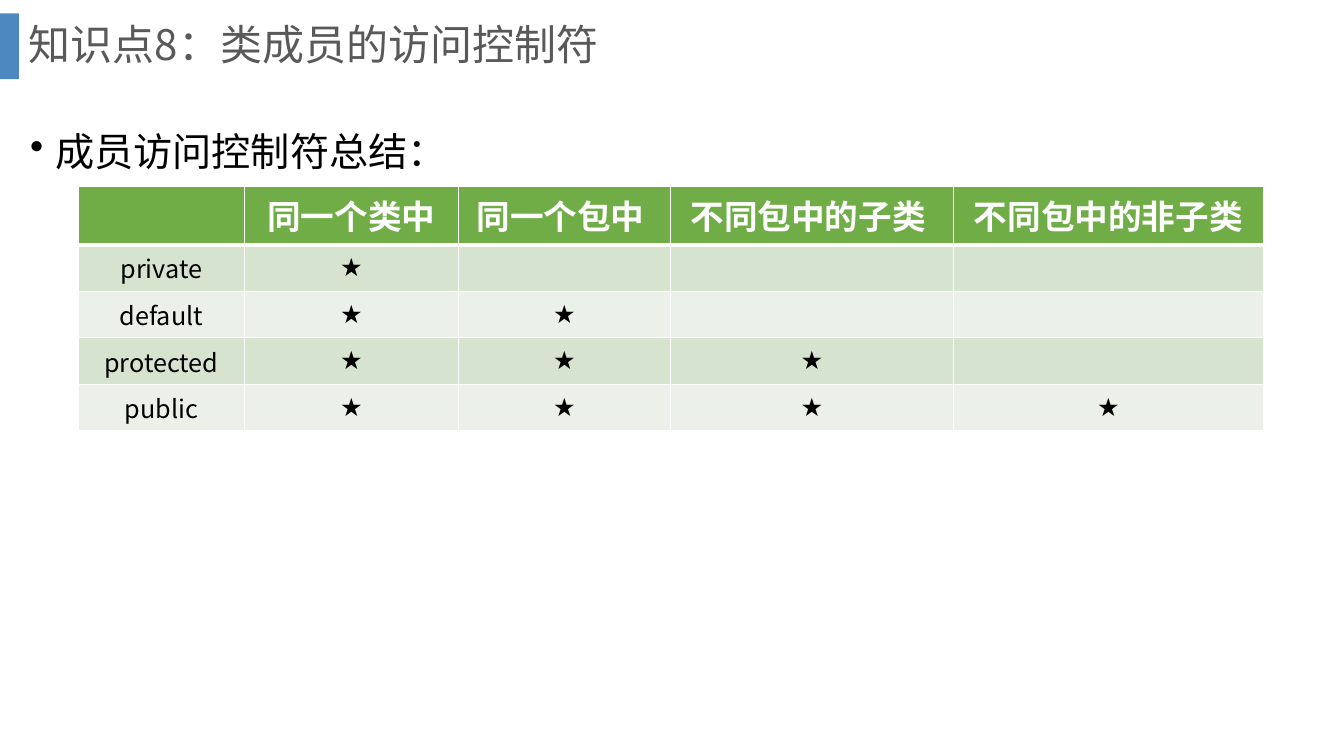
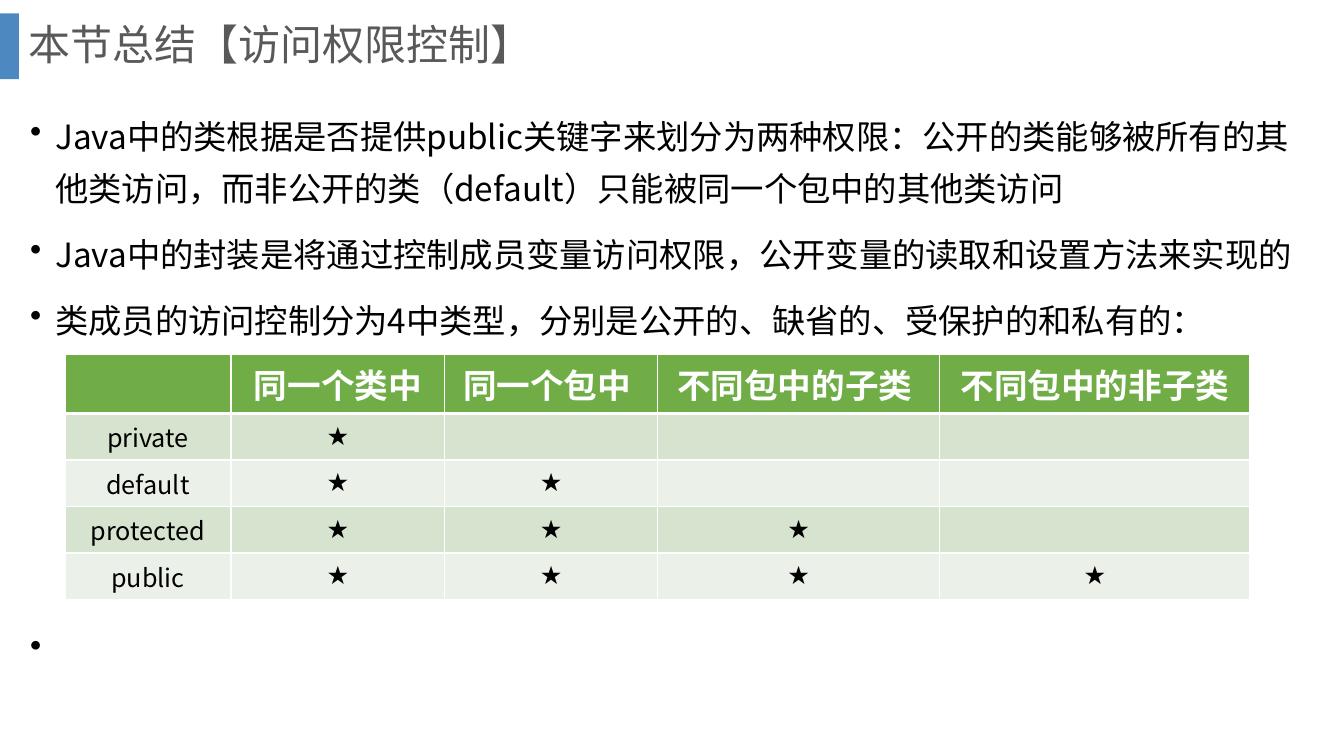
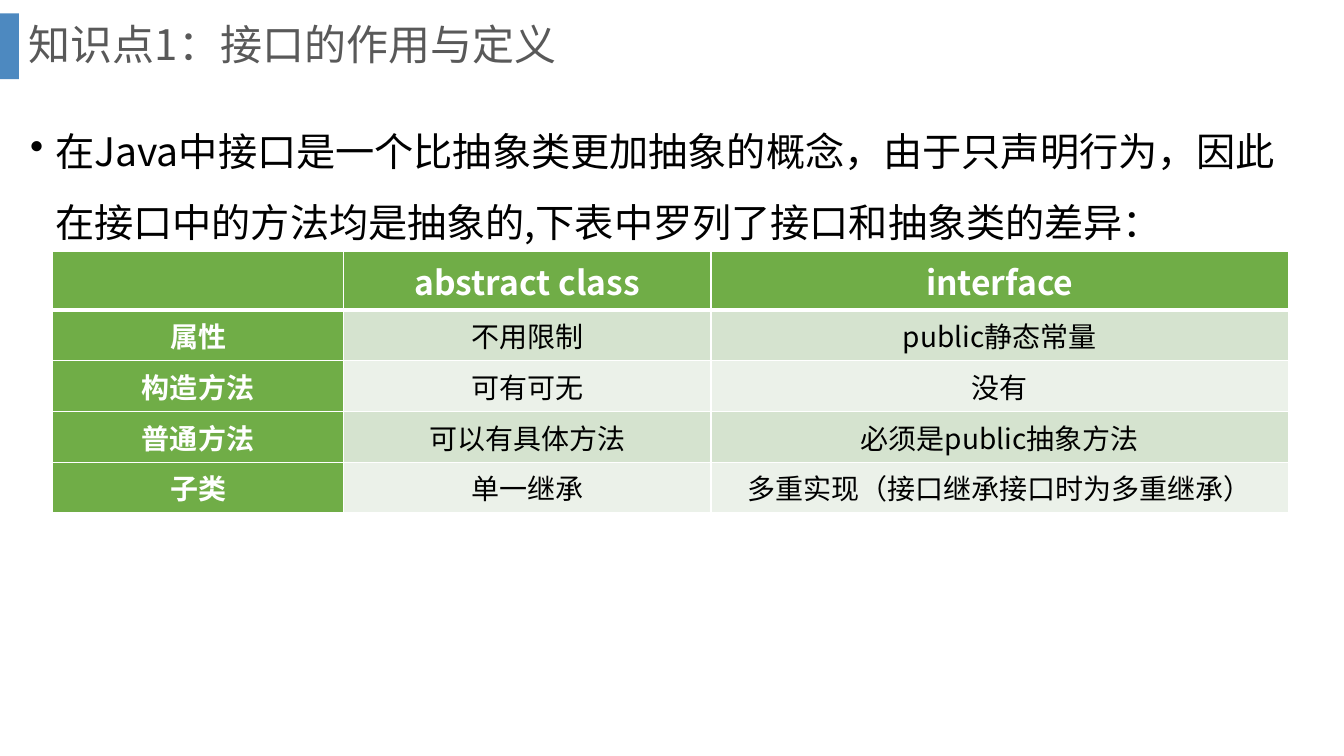
from lxml.etree import SubElement
from pptx import Presentation
from pptx.dml.color import RGBColor
from pptx.enum.shapes import MSO_SHAPE
from pptx.enum.text import MSO_ANCHOR, PP_ALIGN
from pptx.oxml.ns import qn
from pptx.util import Pt

BLUE = RGBColor(0x2E, 0x75, 0xB6)
GRAY = RGBColor(0x59, 0x59, 0x59)
BLACK = RGBColor(0, 0, 0)
WHITE = RGBColor(0xFF, 0xFF, 0xFF)
GREEN = RGBColor(0x70, 0xAD, 0x47)
BANDS = [RGBColor(0xEB, 0xF1, 0xE9), RGBColor(0xD5, 0xE3, 0xCF)]
FONT = "Noto Sans CJK SC"
STAR = "★"

# Table contents
access_rows = [["", "同一个类中", "同一个包中 ", "不同包中的子类 ", "不同包中的非子类"]]
for n, modifier in enumerate(["private", "default", "protected", "public"], 1):
    access_rows.append([modifier] + [STAR] * n + [""] * (4 - n))
access = dict(rows=access_rows, cols=[118.6, 152.8, 151.6, 202, 221.4],
              row_height=33.25, size=18, head_col=False)
compare = dict(rows=[["", "abstract class", "interface"],
                     ["属性", "不用限制", "public静态常量"],
                     ["构造方法", "可有可无", "没有"],
                     ["普通方法", "可以有具体方法", "必须是public抽象方法"],
                     ["子类", "单一继承", "多重实现（接口继承接口时为多重继承）"]],
               cols=[207.8, 262.5, 412.4], row_height=36.2, size=20, head_col=True)

# Bullets are (text, space before)
slides = [
    dict(title="知识点8：类成员的访问控制符", size=28, spacing=1.5,
         bullets=[("成员访问控制符总结：", 0)],
         table=access, at=(56, 132.8)),
    dict(title="本节总结【访问权限控制】", size=23.8, spacing=1.3,
         bullets=[("Java中的类根据是否提供public关键字来划分为两种权限：公开的类能够被所有的"
                   "其他类访问，而非公开的类（default）只能被同一个包中的其他类访问", 0),
                  ("Java中的封装是将通过控制成员变量访问权限，公开变量的读取和设置方法来实现的", 10),
                  ("类成员的访问控制分为4中类型，分别是公开的、缺省的、受保护的和私有的：", 10),
                  (" ", 198.5)],
         table=access, at=(46.4, 253.4)),
    dict(title="知识点1：接口的作用与定义", size=28, spacing=1.5,
         bullets=[("在Java中接口是一个比抽象类更加抽象的概念，由于只声明行为，因此"
                   "在接口中的方法均是抽象的,下表中罗列了接口和抽象类的差异：", 0)],
         table=compare, at=(37.6, 179.6)),
]


def add_run(p, text, color, **fmt):
    r = p.add_run()
    r.text = text
    r.font.color.rgb = color
    for name, value in {"name": FONT, **fmt}.items():
        setattr(r.font, name, value)
    SubElement(r.font._element, qn("a:ea"), typeface=r.font.name)


def set_borders(cell, top, bottom):
    tcPr = cell._tc.get_or_add_tcPr()
    for side, width in {"L": 1, "R": 1, "T": top, "B": bottom}.items():
        ln = SubElement(tcPr, qn(f"a:ln{side}"), w=str(Pt(width)))
        fill = SubElement(ln, qn("a:solidFill"))
        SubElement(fill, qn("a:srgbClr"), val=str(WHITE))


prs = Presentation()
prs.slide_width, prs.slide_height = Pt(960), Pt(540)

for page in slides:
    s = prs.slides.add_slide(prs.slide_layouts[6])

    # Blue tab beside the title
    sp = s.shapes.add_shape(MSO_SHAPE.RECTANGLE, 0, Pt(9.6), Pt(13.6), Pt(47))
    sp.shadow.inherit = False
    sp.fill.solid()
    sp.fill.fore_color.rgb = BLUE
    sp.line.fill.background()
    clr = sp._element.spPr.find(qn("a:solidFill"))[0]
    SubElement(clr, qn("a:alpha"), val="85000")

    # Title
    tf = s.shapes.add_textbox(Pt(13.6), 0, Pt(911.5), Pt(67)).text_frame
    tf.word_wrap = True
    tf.vertical_anchor = MSO_ANCHOR.MIDDLE
    p = tf.paragraphs[0]
    p.line_spacing = 0.9
    add_run(p, page["title"], GRAY, size=Pt(30))

    # Bullets
    tf = s.shapes.add_textbox(Pt(14.4), Pt(70.6), Pt(928.8), Pt(429)).text_frame
    tf.word_wrap = True
    for i, (text, before) in enumerate(page["bullets"]):
        p = tf.add_paragraph() if i else tf.paragraphs[0]
        pPr = p._p.get_or_add_pPr()
        pPr.set("marL", str(Pt(18)))
        pPr.set("indent", str(Pt(-18)))
        SubElement(pPr, qn("a:buChar"), char="•")
        p.line_spacing = page["spacing"]
        if before:
            p.space_before = Pt(before)
        add_run(p, text, BLACK, size=Pt(page["size"]))

    # Table
    t = page["table"]
    rows, cols = t["rows"], t["cols"]
    heights = [42] + [t["row_height"]] * (len(rows) - 1)
    x, y = page["at"]
    tbl = s.shapes.add_table(len(rows), len(cols), Pt(x), Pt(y),
                             Pt(sum(cols)), Pt(sum(heights))).table
    for col, width in zip(tbl.columns, cols):
        col.width = Pt(width)
    for i, row in enumerate(rows):
        tbl.rows[i].height = Pt(heights[i])
        for j, text in enumerate(row):
            cell = tbl.cell(i, j)
            head = i == 0 or (t["head_col"] and j == 0)
            set_borders(cell, 3 if i == 1 else 1, 3 if i == 0 else 1)
            cell.fill.solid()
            cell.fill.fore_color.rgb = GREEN if head else BANDS[i % 2]
            cell.vertical_anchor = MSO_ANCHOR.MIDDLE
            if text:
                p = cell.text_frame.paragraphs[0]
                p.alignment = PP_ALIGN.CENTER
                add_run(p, text, WHITE if head else BLACK, bold=head,
                        size=Pt(t["size"] if i else 24),
                        name="Calibri" if text == STAR else FONT)

prs.save("out.pptx")
